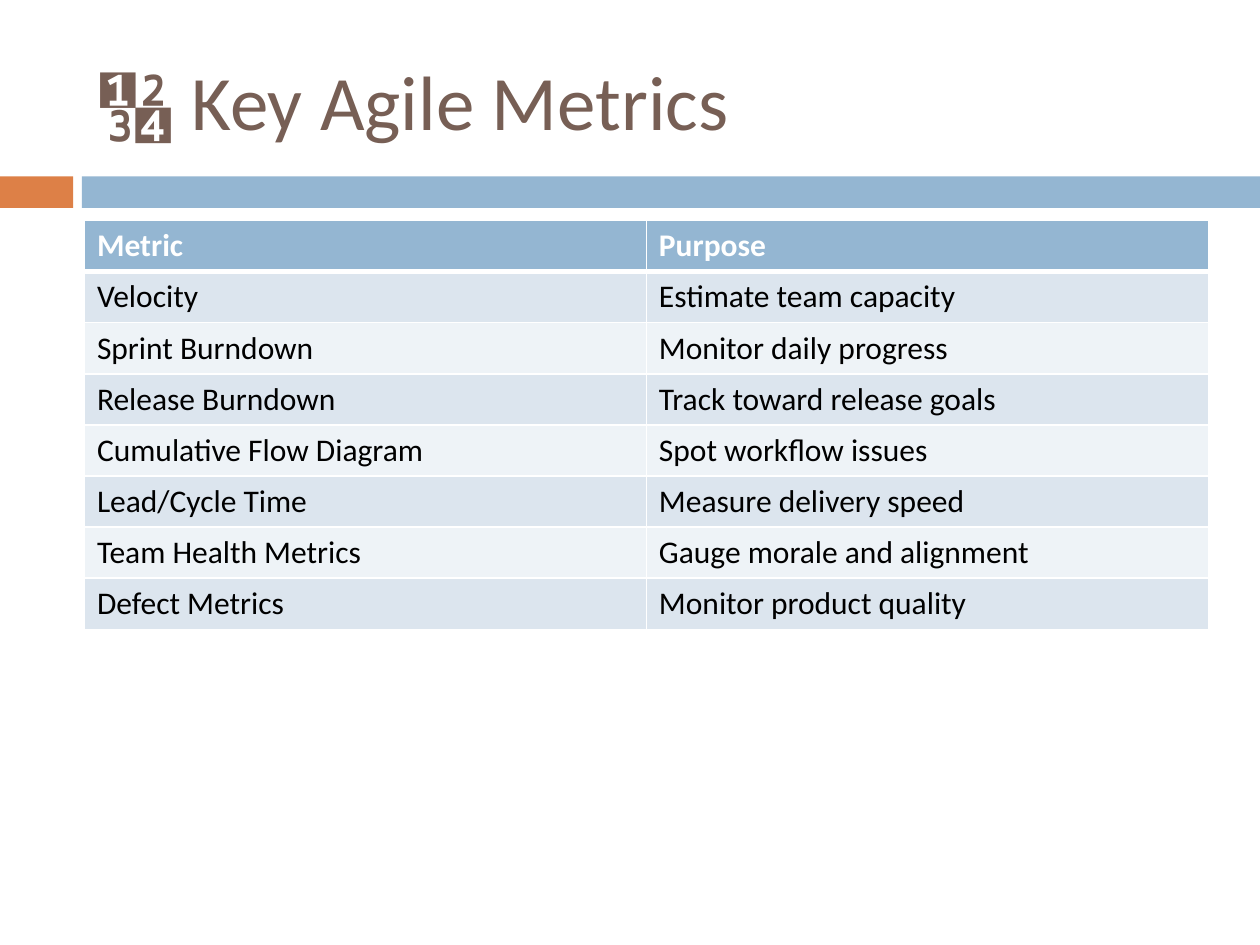
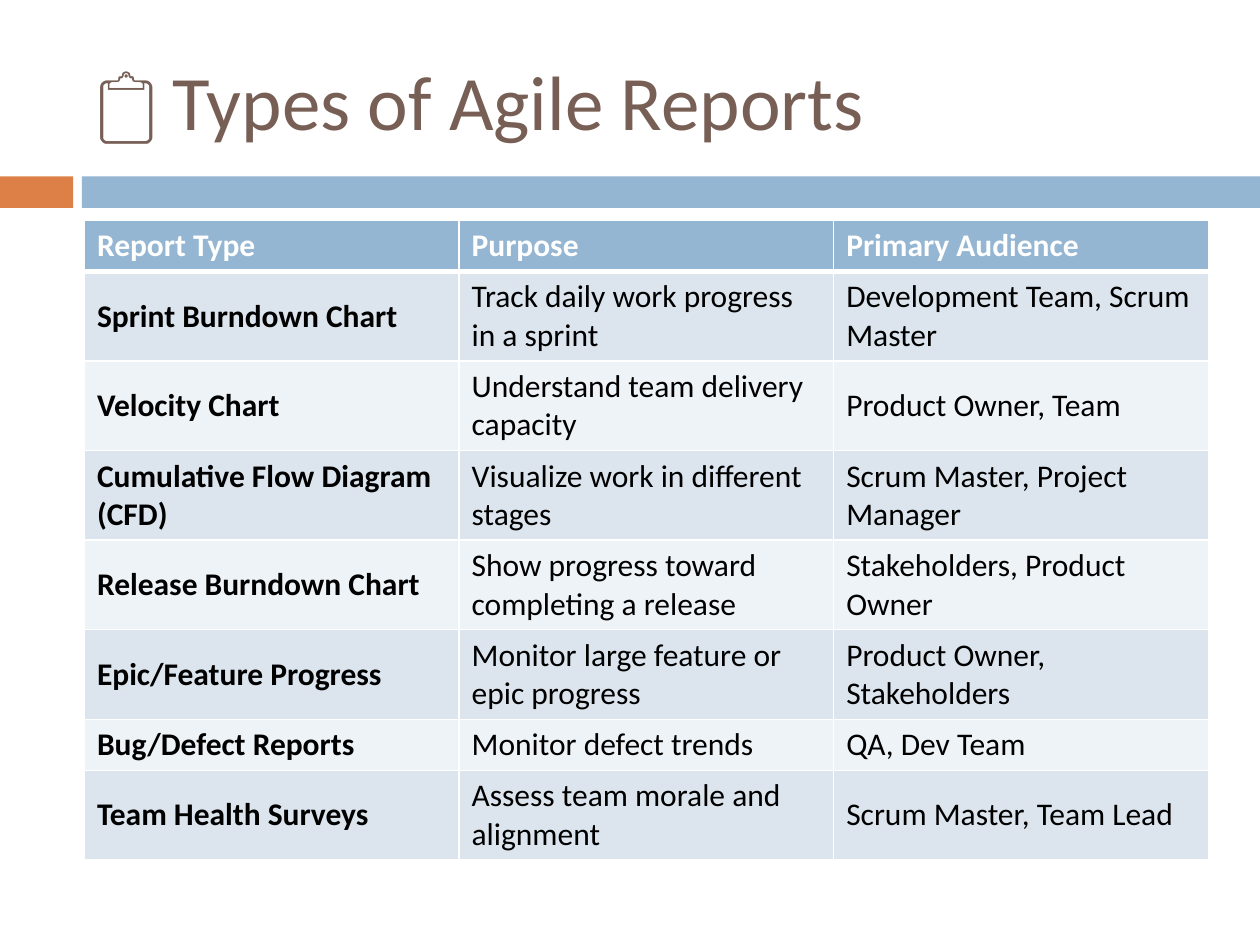
from dataclasses import dataclass

from lxml.etree import SubElement
from pptx import Presentation
from pptx.dml.color import RGBColor
from pptx.enum.shapes import MSO_SHAPE
from pptx.enum.text import MSO_ANCHOR, MSO_AUTO_SIZE, PP_ALIGN
from pptx.oxml.ns import qn
from pptx.util import Inches, Pt


@dataclass(frozen=True)
class Theme:
    font: str = "Calibri"
    title_size: int = 44
    table_size: int = 18
    title: str = "775F55"
    accent: str = "DD8047"
    band: str = "94B6D2"
    odd_row: str = "DCE5EE"
    even_row: str = "EEF3F7"
    text: str = "000000"
    white: str = "FFFFFF"
    line: float = 1
    header_line: float = 3


METRICS = [
    ("Metric", "Purpose"),
    ("Velocity", "Estimate team capacity"),
    ("Sprint Burndown", "Monitor daily progress"),
    ("Release Burndown", "Track toward release goals"),
    ("Cumulative Flow Diagram", "Spot workflow issues"),
    ("Lead/Cycle Time", "Measure delivery speed"),
    ("Team Health Metrics", "Gauge morale and alignment"),
    ("Defect Metrics", "Monitor product quality"),
]

REPORTS = [
    ("Report Type", "Purpose", "Primary Audience"),
    ("Sprint Burndown Chart", "Track daily work progress in a sprint", "Development Team, Scrum Master"),
    ("Velocity Chart", "Understand team delivery capacity", "Product Owner, Team"),
    ("Cumulative Flow Diagram (CFD)", "Visualize work in different stages", "Scrum Master, Project Manager"),
    ("Release Burndown Chart", "Show progress toward completing a release", "Stakeholders, Product Owner"),
    ("Epic/Feature Progress", "Monitor large feature or epic progress", "Product Owner, Stakeholders"),
    ("Bug/Defect Reports", "Monitor defect trends", "QA, Dev Team"),
    ("Team Health Surveys", "Assess team morale and alignment", "Scrum Master, Team Lead"),
]


def write(tf, text, *, font, size, color, bold=False):
    p = tf.paragraphs[0]
    p.alignment = PP_ALIGN.LEFT
    r = p.add_run()
    r.text = text
    r.font.name = font
    r.font.size = Pt(size)
    r.font.bold = bold
    r.font.color.rgb = RGBColor.from_string(color)


def set_border(cell, side, color, width):
    ln = SubElement(cell._tc.get_or_add_tcPr(), qn(f"a:ln{side}"), w=str(Pt(width)))
    fill = SubElement(ln, qn("a:solidFill"))
    SubElement(fill, qn("a:srgbClr"), val=color)


class Deck:
    def __init__(self, theme):
        self.theme = theme
        self.prs = Presentation()
        self.prs.slide_width = Inches(10)
        self.prs.slide_height = Inches(7.5)
        self.s = None

    def slide(self, title):
        self.s = self.prs.slides.add_slide(self.prs.slide_layouts[5])
        self.band(0, 0.58, self.theme.accent)
        self.band(0.65, 9.35, self.theme.band)
        self.title(title)

    def band(self, left, width, color):
        sp = self.s.shapes.add_shape(
            MSO_SHAPE.RECTANGLE, Inches(left), Inches(1.4), Inches(width), Inches(0.25)
        )
        sp.shadow.inherit = False
        sp.fill.solid()
        sp.fill.fore_color.rgb = RGBColor.from_string(color)
        sp.line.fill.background()

    def title(self, text):
        sp = self.s.shapes.title
        sp.left, sp.top = Inches(0.67), Inches(0.25)
        sp.width, sp.height = Inches(8.92), Inches(1.08)
        tf = sp.text_frame
        tf.word_wrap = True
        tf.auto_size = MSO_AUTO_SIZE.NONE
        tf.vertical_anchor = MSO_ANCHOR.MIDDLE
        write(tf, text, font=self.theme.font, size=self.theme.title_size, color=self.theme.title)

    def table(self, rows, bold_first_column=False):
        table = self.s.shapes.add_table(
            len(rows), len(rows[0]), Inches(0.67), Inches(1.75), Inches(8.92), Inches(3.24)
        ).table
        for i, row in enumerate(rows):
            for j, text in enumerate(row):
                bold = i == 0 or (bold_first_column and j == 0)
                self.cell(table.cell(i, j), text, i, bold)

    def cell(self, cell, text, row, bold):
        t = self.theme
        header = row == 0
        widths = {
            "L": t.line,
            "R": t.line,
            "T": t.header_line if row == 1 else t.line,
            "B": t.header_line if header else t.line,
        }
        for side, width in widths.items():
            set_border(cell, side, t.white, width)
        fill = t.band if header else t.odd_row if row % 2 else t.even_row
        cell.fill.solid()
        cell.fill.fore_color.rgb = RGBColor.from_string(fill)
        cell.vertical_anchor = MSO_ANCHOR.MIDDLE
        write(
            cell.text_frame, text, font=t.font, size=t.table_size,
            color=t.white if header else t.text, bold=bold,
        )


def main():
    deck = Deck(Theme())
    deck.slide("🔢 Key Agile Metrics")
    deck.table(METRICS)
    deck.slide("📋 Types of Agile Reports")
    deck.table(REPORTS, bold_first_column=True)
    deck.prs.save("out.pptx")


if __name__ == "__main__":
    main()
